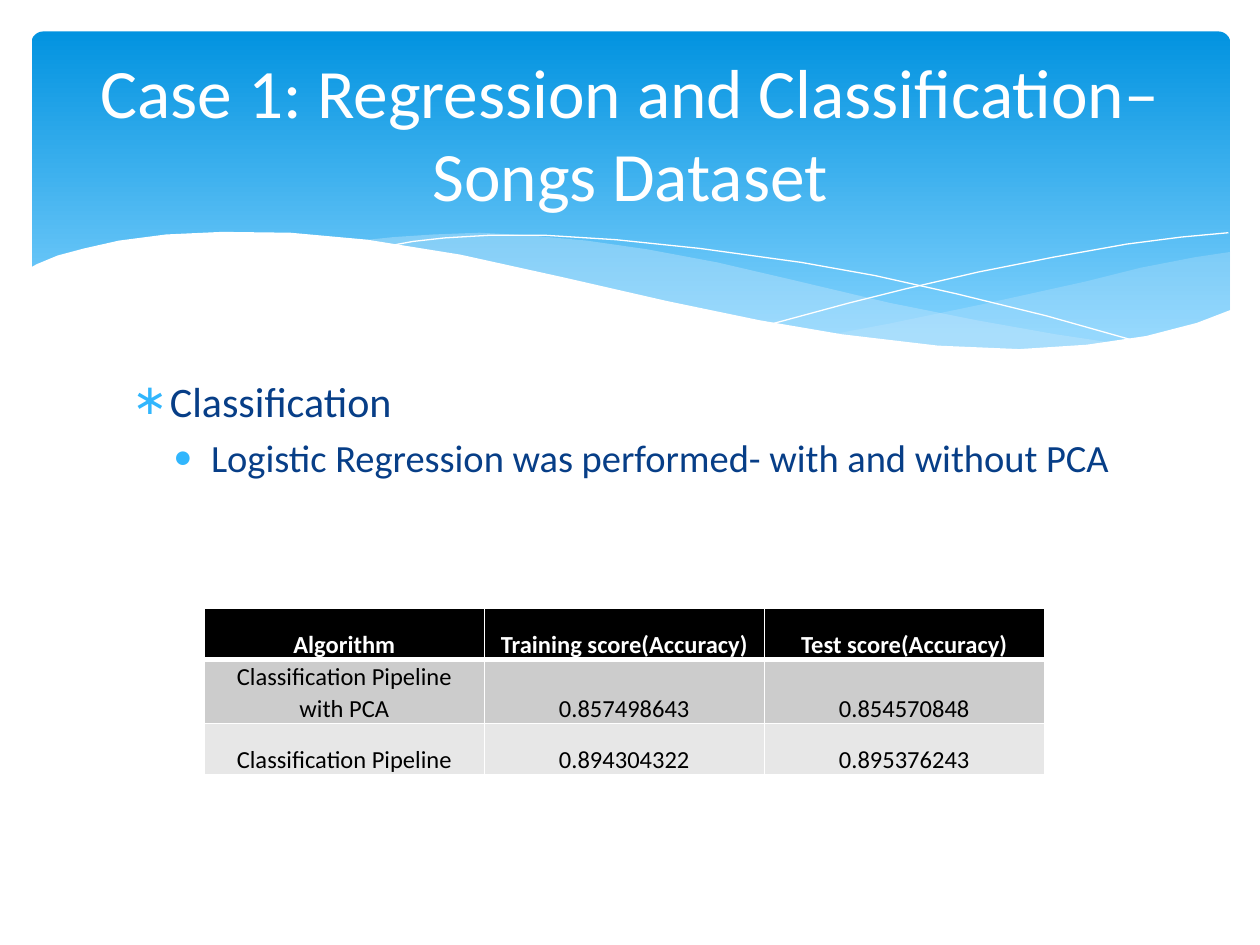
from lxml import etree
from pptx import Presentation
from pptx import util as u
from pptx.dml import color
from pptx.enum import shapes, text
from pptx.oxml import ns

COLORS = {"deep": "0293E0", "sky": "83D3FE", "mist": "C6E7FC", "white": "FFFFFF",
          "navy": "073E87", "bullet": "31B6FD", "black": "000000",
          "band1": "CCCCCC", "band2": "E7E7E7"}
FONT = "Calibri"

RIGHT_WAVE = [(703, 144), (683, 147), (652, 153), (620, 161), (561, 174), (508, 185),
              (476, 191), (508, 195), (545, 199), (586, 200), (628, 198.5), (663, 191),
              (683, 185), (703, 178)]
MIDDLE_WAVE = [(643, 197), (603, 191), (558, 183), (508, 173), (453, 160), (410, 150),
               (370, 142.5), (335, 137.5), (302, 134.5), (274, 133), (248, 134),
               (225, 135.5), (206, 137.5), (246, 143.5), (291, 152), (323, 160),
               (382, 173), (433, 183.5), (479, 191.5), (520, 197), (557, 199.5),
               (589, 200), (617, 199)]
FALLING_LINE = [(222.5, 140.5), (236, 138), (254, 136), (279, 134.5), (312, 134.5),
                (352, 137), (400, 142), (458, 150), (500, 157.5), (547, 168),
                (598, 180.5), (653, 196)]
RISING_LINE = [(441.5, 185), (484, 173.5), (518, 165), (559, 155.5), (602, 147),
               (644, 139.5), (675, 135.5), (702, 133)]
WHITE_WAVE = [(703.5, 177), (684, 184.5), (655, 192), (621, 197), (582.5, 199.5),
              (536, 197.5), (481, 191), (434, 183), (381, 172), (322, 158.5),
              (263, 145.5), (210, 137), (166, 133), (127, 132.5), (95, 134),
              (68, 137.5), (48, 142), (33, 146), (21, 151), (16.5, 153.5),
              (16.5, 237), (703.5, 237)]
BULLETS = [("Classification", 24, "∗", 21.5), ("Logistic Regression was performed- with and without PCA", 22, "•", 45)]
SCORES = [("Algorithm", "Training score(Accuracy)", "Test score(Accuracy)"),
          ("Classification Pipeline with PCA", "0.857498643", "0.854570848"),
          ("Classification Pipeline", "0.894304322", "0.895376243")]


def rgb(name):
    """Return the named colour."""
    return color.RGBColor.from_string(COLORS[name])


def add_xml(parent, tag, **attrs):
    """Append a DrawingML child element."""
    return etree.SubElement(parent, ns.qn(tag), attrs)


class Deck:
    """Hold the style and the current slide."""

    def __init__(self, prs):
        """Add a title-only slide."""
        self.s = prs.slides.add_slide(prs.slide_layouts[5])

    def run(self, p, words, size, name, bold=False):
        """Add one styled run."""
        r = p.add_run()
        r.text = words
        r.font.name, r.font.size, r.font.bold = FONT, u.Pt(size), bold
        r.font.color.rgb = rgb(name)

    def banner(self, x, y, w, h):
        """Draw the gradient banner."""
        sp = self.s.shapes.add_shape(shapes.MSO_SHAPE.ROUNDED_RECTANGLE, *map(u.Pt, (x, y, w, h)))
        sp.adjustments[0] = 0.034
        sp.shadow.inherit = False
        sp.line.fill.background()
        sp.fill.gradient()
        sp.fill.gradient_angle = 270
        for stop, name, position in zip(sp.fill.gradient_stops, ("deep", "sky"), (0, 0.9)):
            stop.color.rgb = rgb(name)
            stop.position = position

    def outline(self, points, closed):
        """Build a freeform through the points."""
        points = [(u.Pt(x), u.Pt(y)) for x, y in points]
        fb = self.s.shapes.build_freeform(*points[0])
        fb.add_line_segments(points[1:], close=closed)
        sp = fb.convert_to_shape()
        sp.shadow.inherit = False
        return sp

    def wave(self, points, name, opacity=100):
        """Draw a filled wave."""
        sp = self.outline(points, True)
        sp.line.fill.background()
        sp.fill.solid()
        sp.fill.fore_color.rgb = rgb(name)
        if opacity < 100:
            clr = sp._element.spPr.find(".//" + ns.qn("a:srgbClr"))
            add_xml(clr, "a:alpha", val=str(opacity * 1000))

    def curve(self, points):
        """Draw a white hairline curve."""
        sp = self.outline(points, False)
        sp.fill.background()
        sp.line.color.rgb = rgb("white")
        sp.line.width = u.Pt(0)

    def title(self, words, x, y, w, h):
        """Fill the title and bring it to the front."""
        sp = self.s.shapes.title
        sp.left, sp.top, sp.width, sp.height = map(u.Pt, (x, y, w, h))
        self.s.shapes._spTree.append(sp._element)
        tf = sp.text_frame
        tf.word_wrap, tf.auto_size = True, text.MSO_AUTO_SIZE.NONE
        tf.vertical_anchor = text.MSO_ANCHOR.MIDDLE
        p = tf.paragraphs[0]
        p.alignment = text.PP_ALIGN.CENTER
        self.run(p, words, 39.6, "white")

    def bullets(self, items, x, y, w, h):
        """Add a bulleted text box."""
        tf = self.s.shapes.add_textbox(*map(u.Pt, (x, y, w, h))).text_frame
        tf.word_wrap = True
        for i, (words, size, mark, margin) in enumerate(items):
            p = tf.add_paragraph() if i else tf.paragraphs[0]
            p.level = i
            p.space_before = u.Pt(size * 0.2)
            pPr = p._p.get_or_add_pPr()
            pPr.set("marL", str(u.Pt(margin)))
            pPr.set("indent", str(u.Pt(-21.5)))
            add_xml(add_xml(pPr, "a:buClr"), "a:srgbClr", val=COLORS["bullet"])
            add_xml(pPr, "a:buFont", typeface=FONT)
            add_xml(pPr, "a:buChar", char=mark)
            self.run(p, words, size, "navy")

    def borders(self, cell, widths):
        """Give a cell white borders."""
        tcPr = cell._tc.get_or_add_tcPr()
        for side, width in zip("LRTB", widths):
            ln = add_xml(tcPr, "a:ln" + side, w=str(u.Pt(width)))
            add_xml(add_xml(ln, "a:solidFill"), "a:srgbClr", val=COLORS["white"])

    def table(self, rows, x, y, col_w, row_h):
        """Add the score table."""
        n = len(rows[0])
        tb = self.s.shapes.add_table(len(rows), n, *map(u.Pt, (x, y, col_w * n, row_h * len(rows)))).table
        for i, row in enumerate(rows):
            for j, words in enumerate(row):
                cell = tb.cell(i, j)
                cell.margin_left = cell.margin_right = u.Pt(5)
                cell.margin_top = cell.margin_bottom = 0
                cell.vertical_anchor = text.MSO_ANCHOR.BOTTOM
                self.borders(cell, (1, 1, 3 if i == 1 else 1, 3 if i == 0 else 1))
                cell.fill.solid()
                cell.fill.fore_color.rgb = rgb(("black", "band1", "band2")[i])
                p = cell.text_frame.paragraphs[0]
                p.alignment, p.line_spacing = text.PP_ALIGN.CENTER, 1.07
                self.run(p, words, 14, "black" if i else "white", bold=i == 0)


def main():
    """Build and save the slide."""
    prs = Presentation()
    prs.slide_width, prs.slide_height = u.Pt(720), u.Pt(540)
    d = Deck(prs)
    d.banner(18, 18, 685, 194.5)
    d.wave(RIGHT_WAVE, "mist", 29)
    d.wave(MIDDLE_WAVE, "mist", 40)
    d.curve(FALLING_LINE)
    d.curve(RISING_LINE)
    d.wave(WHITE_WAVE, "white")
    d.bullets(BULLETS, 68.5, 211, 583, 271.5)
    d.title("Case 1: Regression and Classification– Songs Dataset", 36, 26.5, 648, 98.5)
    d.table(SCORES, 116.75, 347.75, 160, 29.2)
    prs.save("out.pptx")


if __name__ == "__main__":
    main()
